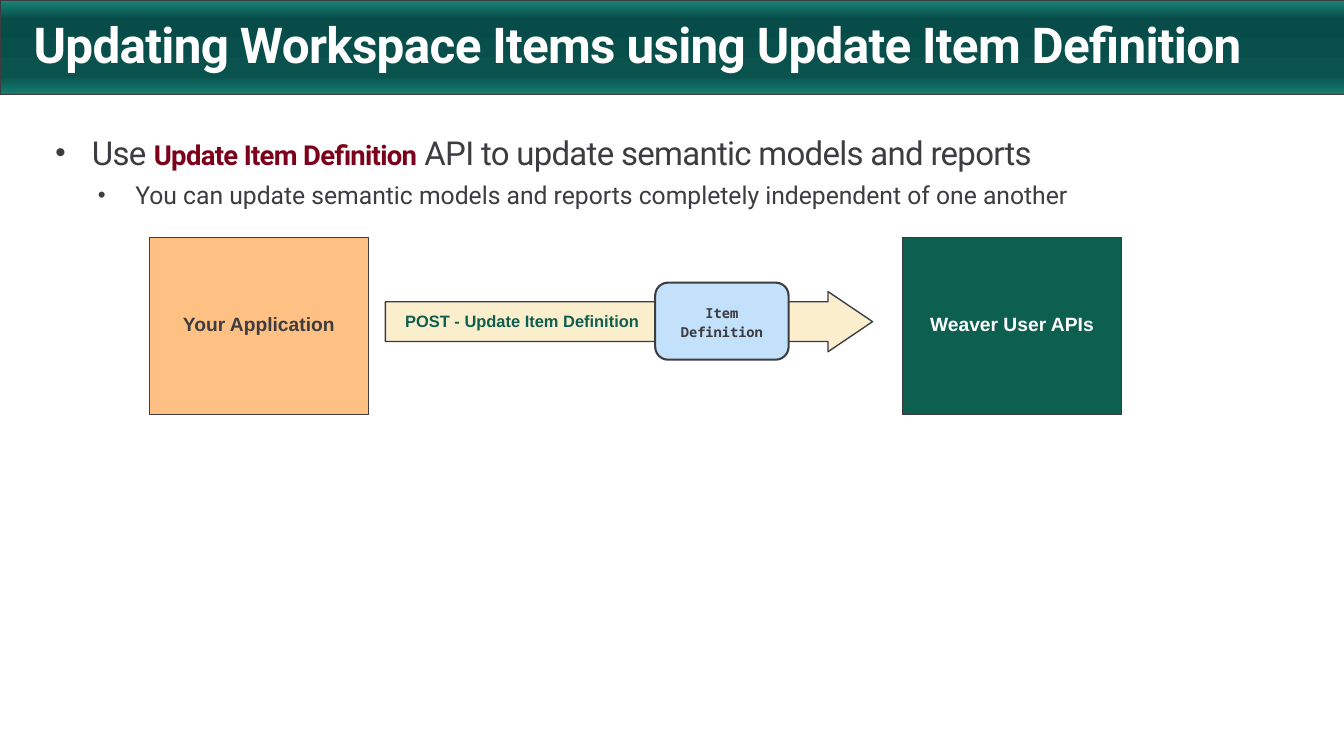
from lxml.etree import SubElement
from pptx import Presentation
from pptx.dml.color import RGBColor
from pptx.enum.shapes import MSO_SHAPE
from pptx.enum.text import MSO_ANCHOR, PP_ALIGN
from pptx.oxml.ns import qn
from pptx.util import Pt

PX = 9144
COLORS = {
    "ink": "3C3C41", "white": "FFFFFF", "orange": "FFC183", "green": "0D5F4F",
    "cream": "FBEECD", "blue": "C3E1FB", "red": "7C0019",
}
BANNER_STOPS = [(1, "198375"), (20, "074C49"), (80, "09524D"), (100, "177D71")]


def color(name):
    return RGBColor.from_string(COLORS[name])


def px(*lengths):
    return [length * PX for length in lengths]


def apply(target, values):
    for name, value in values.items():
        setattr(target, name, value)


def add_span(para, text, font, size, ink, bold=False, spacing=0):
    span = para.add_run()
    span.text = text
    apply(span.font, {"name": font, "size": Pt(size), "bold": bold})
    span.font.color.rgb = color(ink)
    if spacing:
        span.font._element.set("spc", str(spacing))


def set_frame(frame, across=0, down=0, anchor=MSO_ANCHOR.TOP):
    side, edge = px(across, down)
    apply(frame, {
        "word_wrap": True, "vertical_anchor": anchor,
        "margin_left": side, "margin_right": side,
        "margin_top": edge, "margin_bottom": edge,
    })


def add_bullet(para, left, hanging):
    properties = para._p.get_or_add_pPr()
    properties.set("marL", str(left * PX))
    properties.set("indent", str(-hanging * PX))
    for tag, name, value in [("a:buSzPct", "val", "90000"),
                             ("a:buFont", "typeface", "Arial"),
                             ("a:buChar", "char", "•")]:
        SubElement(properties, qn(tag)).set(name, value)


def add_block(shapes, kind, box, line_width, fill=None):
    block = shapes.add_shape(kind, *px(*box))
    block.shadow.inherit = False
    block.line.color.rgb = color("ink")
    block.line.width = Pt(line_width)
    if fill:
        block.fill.solid()
        block.fill.fore_color.rgb = color(fill)
    return block


def add_label(block, lines, font, size, ink, align=PP_ALIGN.CENTER,
              spacing=0.9, margins=(20, 16)):
    frame = block.text_frame
    set_frame(frame, *margins, MSO_ANCHOR.MIDDLE)
    for index, text in enumerate(lines):
        para = frame.add_paragraph() if index else frame.paragraphs[0]
        apply(para, {"alignment": align, "line_spacing": spacing})
        add_span(para, text, font, size, ink, bold=True)


def add_banner(page, box, title):
    left, top, width, height = box
    banner = add_block(page.shapes, MSO_SHAPE.RECTANGLE, box, 0.5)
    banner.fill.gradient()
    gradient = banner._element.spPr.find(qn("a:gradFill"))
    stops = gradient.find(qn("a:gsLst"))
    for stop in list(stops):
        stops.remove(stop)
    for position, shade in BANNER_STOPS:
        stop = SubElement(stops, qn("a:gs"), pos=str(position * 1000))
        SubElement(stop, qn("a:srgbClr"), val=shade)
    direction = gradient.find(qn("a:lin"))
    direction.set("ang", "5400000")
    direction.set("scaled", "0")

    heading = page.shapes.add_textbox(*px(left + 34, top + 21, width - 69, 55))
    set_frame(heading.text_frame)
    para = heading.text_frame.paragraphs[0]
    para.line_spacing = 0.9
    add_span(para, title, "Roboto", 36, "white", bold=True, spacing=-50)


def add_points(page, box):
    frame = page.shapes.add_textbox(*px(*box)).text_frame
    set_frame(frame)
    point = frame.paragraphs[0]
    add_bullet(point, 37, 37)
    add_span(point, "Use ", "Roboto", 24, "ink", spacing=-50)
    add_span(point, "Update Item Definition", "Roboto", 20, "red", bold=True, spacing=-50)
    add_span(point, " API to update semantic models and reports",
             "Roboto", 24, "ink", spacing=-50)
    detail = frame.add_paragraph()
    detail.level = 1
    add_bullet(detail, 81, 38)
    add_span(detail, "You can update semantic models and reports completely "
             "independent of one another", "Roboto", 18, "ink")
    for para in (point, detail):
        para.space_after = Pt(6)


def add_request_flow(page, box):
    left, top, width, height = box
    party_width = 222
    parties = [
        (left, "Your Application", "orange", "ink"),
        (left + width - party_width, "Weaver User APIs", "green", "white"),
    ]
    for party_left, text, fill, ink in parties:
        party = add_block(page.shapes, MSO_SHAPE.RECTANGLE,
                          (party_left, top, party_width, height), 0.75, fill)
        add_label(party, [text], "Arial", 14, ink)

    request = page.shapes.add_group_shape()
    arrow = add_block(request.shapes, MSO_SHAPE.RIGHT_ARROW,
                      (left + 239, top + 55, 493, 61), 1, "cream")
    arrow.adjustments[0] = 0.66
    arrow.adjustments[1] = 0.74
    add_label(arrow, ["POST - Update Item Definition"], "Arial", 12, "green",
              align=PP_ALIGN.LEFT)
    payload = add_block(request.shapes, MSO_SHAPE.ROUNDED_RECTANGLE,
                        (left + 512, top + 46, 135, 78), 1.5, "blue")
    add_label(payload, ["Item", "Definition"], "Noto Sans Mono", 10, "ink",
              spacing=Pt(14), margins=(0, 0))


def main():
    deck = Presentation()
    deck.slide_width, deck.slide_height = px(1360, 765)
    page = deck.slides.add_slide(deck.slide_layouts[6])
    add_banner(page, (0, 0, 1360, 96),
               "Updating Workspace Items using Update Item Definition")
    add_points(page, (56, 134, 1269, 79))
    add_request_flow(page, (151, 240, 984, 179))
    deck.save("out.pptx")


if __name__ == "__main__":
    main()
